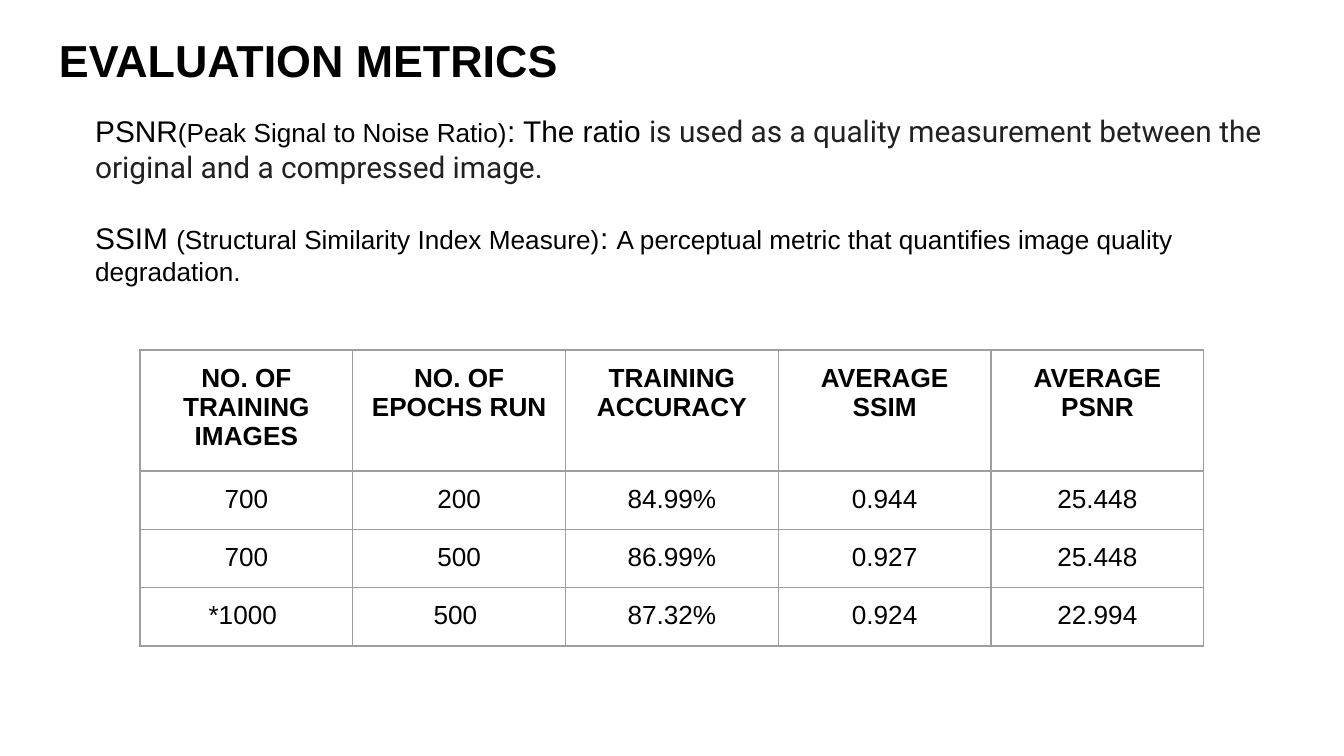
import pptx
import pptx.util
import pptx.dml.color
import pptx.enum.text
import pptx.oxml
import pptx.oxml.ns

Pt = pptx.util.Pt
RGB = pptx.dml.color.RGBColor
BLACK = RGB(0x00, 0x00, 0x00)
INK = RGB(0x21, 0x21, 0x21)
WHITE = RGB(0xFF, 0xFF, 0xFF)
GREY = RGB(0x9E, 0x9E, 0x9E)
PAD = Pt(7.2)

# Each run: text, size, font, colour
METRICS = [
    [("PSNR", 16, "Arial", BLACK),
     ("(Peak Signal to Noise Ratio)", 14, "Arial", BLACK),
     (": The ratio ", 16, "Arial", BLACK),
     ("is used as a quality measurement between the original and "
      "a compressed image.", 16, "Roboto", INK)],
    [("SSIM ", 16, "Arial", BLACK),
     ("(Structural Similarity Index Measure)", 14, "Arial", BLACK),
     (": ", 16, "Arial", BLACK),
     ("A perceptual metric that quantifies image quality degradation.",
      14, "Arial", BLACK)],
]
ROWS = [
    ["NO. OF TRAINING IMAGES", "NO. OF EPOCHS RUN", "TRAINING ACCURACY",
     "AVERAGE SSIM", "AVERAGE PSNR"],
    ["700", "200", "84.99%", "0.944", "25.448"],
    ["700", "500", "86.99%", "0.927", "25.448"],
    ["*1000 ", "500 ", "87.32%", "0.924", "22.994"],
]


def style(font, size, name="Arial", color=BLACK, bold=False):
    font.size = Pt(size)
    font.name = name
    font.color.rgb = color
    font.bold = bold


def pad(area):
    area.margin_left = area.margin_right = PAD
    area.margin_top = area.margin_bottom = PAD


def add_box(slide, left, top, width, height):
    box = slide.shapes.add_textbox(Pt(left), Pt(top), Pt(width), Pt(height))
    frame = box.text_frame
    frame.word_wrap = True
    pad(frame)
    return frame


def add_title(slide, text):
    frame = add_box(slide, 24.5, 13.7, 671, 39.6)
    frame.vertical_anchor = pptx.enum.text.MSO_ANCHOR.BOTTOM
    para = frame.paragraphs[0]
    para.text = text
    style(para.font, 24, bold=True)


def add_body(slide, items):
    frame = add_box(slide, 43.9, 53.3, 639.4, 109.4)
    frame.auto_size = pptx.enum.text.MSO_AUTO_SIZE.SHAPE_TO_FIT_TEXT
    for i, parts in enumerate(items):
        para = frame.add_paragraph() if i else frame.paragraphs[0]
        if i:
            para.space_before = Pt(19)
        for text, size, name, color in parts:
            run = para.add_run()
            run.text = text
            style(run.font, size, name, color)


def add_edges(cell):
    props = cell._tc.get_or_add_tcPr()
    for i, side in enumerate(("lnL", "lnR", "lnT", "lnB")):
        props.insert(i, pptx.oxml.parse_xml(
            f'<a:{side} {pptx.oxml.ns.nsdecls("a")} w="{Pt(0.75)}">'
            f'<a:solidFill><a:srgbClr val="{GREY}"/></a:solidFill>'
            f'</a:{side}>'))


def fill_cell(cell, text, bold):
    pad(cell)
    cell.fill.solid()
    cell.fill.fore_color.rgb = WHITE
    para = cell.text_frame.paragraphs[0]
    para.text = text
    para.alignment = pptx.enum.text.PP_ALIGN.CENTER
    style(para.font, 14, bold=bold)
    add_edges(cell)


def add_grid(slide, rows):
    high, wide = 30, 114
    count = len(rows[0])
    table = slide.shapes.add_table(
        len(rows), count, Pt(75), Pt(187.5),
        Pt(wide * count), Pt(high * len(rows))).table
    for i, row in enumerate(rows):
        for j, text in enumerate(row):
            fill_cell(table.cell(i, j), text, bold=i == 0)


def main():
    deck = pptx.Presentation()
    deck.slide_width, deck.slide_height = Pt(720), Pt(405)
    slide = deck.slides.add_slide(deck.slide_layouts[6])

    # Heading
    add_title(slide, "EVALUATION METRICS")
    # Results table
    add_grid(slide, ROWS)
    # Metric definitions
    add_body(slide, METRICS)

    deck.save("out.pptx")


if __name__ == "__main__":
    main()
